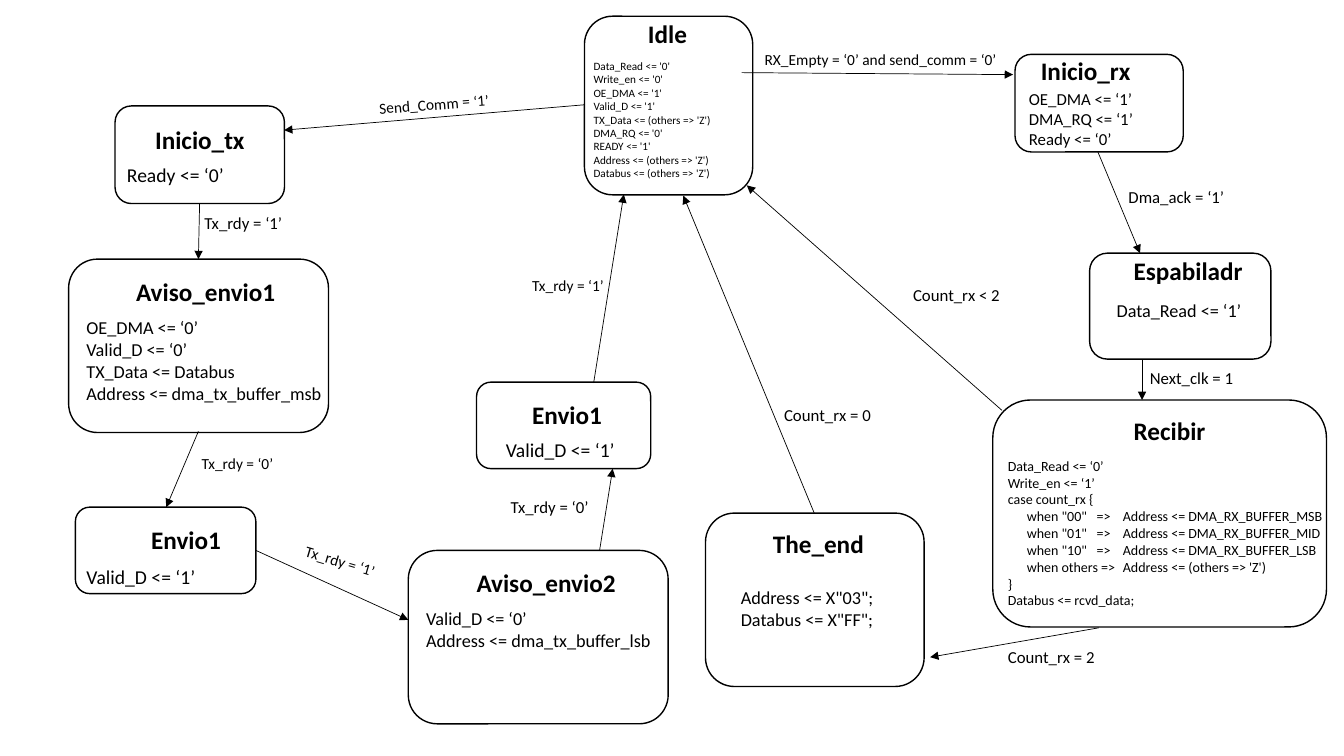
from collections import namedtuple

from lxml import etree
from pptx import Presentation
from pptx.dml.color import RGBColor
from pptx.enum.shapes import MSO_CONNECTOR as CONN, MSO_SHAPE as SHAPE
from pptx.enum.text import MSO_AUTO_SIZE as AUTO
from pptx.oxml.ns import qn
from pptx.util import Cm, Pt

BLACK = RGBColor(0x00, 0x00, 0x00)
FONT = "Calibri"
TAB_STOPS = (0.48, 2.24, 2.9)

# box: left, top, width, height; title and body: left, top, width from the box corner (cm)
State = namedtuple("State", "name box title body size lines")
# start and end: x, y; label: left, top, width (cm)
Transition = namedtuple("Transition", "start end text label size angle", defaults=(12, 0))

STATES = [
    State("Idle", (14.73, 0.41, 4.24, 4.5), (1.35, -0.08, 1.5), (-0.02, 0.96, 4.24), 8,
          ["Data_Read <= '0'", "Write_en <= '0'", "OE_DMA <= '1'", "Valid_D <= '1'",
           "TX_Data <= (others => 'Z')", "DMA_RQ <= '0'", "READY <= '1'",
           "Address <= (others => 'Z')", "Databus <= (others => 'Z')"]),
    State("Inicio_tx", (2.9, 2.67, 4.27, 2.46), (0.76, 0.35, 2.79), (0.05, 1.32, 6.81), 14,
          ["Ready <= ‘0’"]),
    State("Aviso_envio1", (1.73, 6.53, 6.55, 4.37), (1.45, 0.3, 4.04), (0.2, 1.32, 6.55), 13,
          ["OE_DMA <= ‘0’", "Valid_D <= ‘0’", "TX_Data <= Databus",
           "Address <= dma_tx_buffer_msb"]),
    State("Envio1", (1.9, 12.78, 4.55, 2.18), (1.66, 0.3, 2.29), (0.03, 1.32, 7.06), 14,
          ["Valid_D <= ‘1’"]),
    State("Aviso_envio2", (10.29, 13.87, 6.55, 4.37), (1.47, 0.3, 4.04), (0.2, 1.32, 6.55), 13,
          ["Valid_D <= ‘0’", "Address <= dma_tx_buffer_lsb"]),
    State("Envio1", (12.01, 9.63, 4.39, 2.18), (1.15, 0.3, 2.29), (0.49, 1.27, 3.43), 14,
          ["Valid_D <= ‘1’"]),
    State("Inicio_rx", (25.58, 1.37, 4.24, 2.46), (0.4, -0.1, 2.79), (0.1, 0.74, 3.91), 12,
          ["OE_DMA <= ‘1’", "DMA_RQ <= ‘1’", "Ready <= ‘0’"]),
    State("Espabiladr", (27.46, 6.38, 4.57, 2.67), (0.86, -0.06, 3.28), (0.43, 1.04, 3.71), 13,
          ["Data_Read <= ‘1’"]),
    State("Recibir", (25.02, 10.08, 8.41, 5.72), (3.3, 0.26, 2.34), (0.13, 1.32, 8.97), 10,
          ["Data_Read <= ‘0’", "Write_en <= ‘1’", "case count_rx {",
           '\twhen "00"\t=>\tAddress <= DMA_RX_BUFFER_MSB',
           '\twhen "01"\t=>\tAddress <= DMA_RX_BUFFER_MID',
           '\twhen "10"\t=>\tAddress <= DMA_RX_BUFFER_LSB',
           "\twhen others =>\tAddress <= (others => 'Z')",
           "}", "Databus <= rcvd_data;"]),
    State("The_end", (17.78, 12.93, 5.51, 4.37), (1.45, 0.25, 2.82), (0.64, 1.73, 6.55), 13,
          ['Address <= X"03";', 'Databus <= X"FF";']),
]

TRANSITIONS = [
    Transition((18.69, 1.83), (25.53, 1.88), "RX_Empty = ‘0’ and send_comm = ‘0’",
               (19.02, 1.14, 6.4), 11),
    Transition((14.73, 2.64), (7.16, 3.28), "Send_Comm = ‘1’", (9.3, 2.26, 3.28), 11, -4.3),
    Transition((5.03, 5.13), (5.0, 6.53), "Tx_rdy = ‘1’", (4.9, 5.23, 2.49)),
    Transition((5.0, 10.87), (4.19, 12.78), "Tx_rdy = ‘0’", (4.83, 11.33, 2.36), 11),
    Transition((6.45, 13.87), (10.29, 15.62), "Tx_rdy = ‘1’", (7.42, 13.79, 2.36), 11, 16.5),
    Transition((15.11, 13.87), (15.44, 11.81), "Tx_rdy = ‘0’", (12.62, 12.4, 2.49)),
    Transition((14.96, 9.65), (15.72, 4.9), "Tx_rdy = ‘1’", (13.16, 6.83, 2.36), 11),
    Transition((27.66, 3.81), (28.73, 6.38), "Dma_ack = ‘1’", (28.19, 4.57, 2.95)),
    Transition((28.78, 9.07), (28.78, 10.08), "Next_clk = 1", (28.73, 9.14, 2.64)),
    Transition((27.69, 15.82), (23.44, 16.56), "Count_rx = 2", (25.15, 16.18, 2.72)),
    Transition((25.25, 10.34), (18.82, 4.67), "Count_rx < 2", (22.76, 7.06, 2.72)),
    Transition((20.52, 12.93), (17.22, 4.93), "Count_rx = 0", (19.51, 10.08, 2.72)),
]


def add_text(s, text, left, top, width, size=12, bold=False, wrap=False, angle=0):
    """Add a text box with one paragraph per line of text."""
    lines = text.split("\n")
    height = len(lines) * size * 0.043 + 0.25
    sp = s.shapes.add_textbox(Cm(left), Cm(top), Cm(width), Cm(height))
    sp.rotation = angle
    tf = sp.text_frame
    tf.word_wrap = wrap
    tf.auto_size = AUTO.SHAPE_TO_FIT_TEXT
    for i, line in enumerate(lines):
        p = tf.add_paragraph() if i else tf.paragraphs[0]
        r = p.add_run()
        r.text = line
        r.font.name, r.font.size, r.font.bold = FONT, Pt(size), bold
        r.font.color.rgb = BLACK
        if "\t" in line:
            set_tabs(p)


def set_tabs(p):
    """Give a paragraph the tab stops of the case table."""
    tabs = etree.SubElement(p._p.get_or_add_pPr(), qn("a:tabLst"))
    for stop in TAB_STOPS:
        etree.SubElement(tabs, qn("a:tab"), pos=str(Cm(stop)), algn="l")


def add_state(s, state):
    """Draw a state: rounded outline, name and assignments placed from its corner."""
    x, y, w, h = state.box
    sp = s.shapes.add_shape(SHAPE.ROUNDED_RECTANGLE, Cm(x), Cm(y), Cm(w), Cm(h))
    sp.shadow.inherit = False
    sp.fill.background()
    sp.line.color.rgb = BLACK
    sp.line.width = Pt(1)
    dx, dy, width = state.title
    add_text(s, state.name, x + dx, y + dy, width, size=18, bold=True)
    dx, dy, width = state.body
    add_text(s, "\n".join(state.lines), x + dx, y + dy, width, size=state.size, wrap=True)


def add_transition(s, step):
    """Draw an arrow between two states with its condition."""
    line = s.shapes.add_connector(CONN.STRAIGHT, *map(Cm, step.start + step.end))
    line.line.color.rgb = BLACK
    line.line.width = Pt(0.5)
    etree.SubElement(line.line._get_or_add_ln(), qn("a:tailEnd"), type="triangle")
    etree.SubElement(line._element.spPr, qn("a:effectLst"))
    add_text(s, step.text, *step.label, size=step.size, angle=step.angle)


def build_diagram(prs):
    """Add the slide with the state machine."""
    s = prs.slides.add_slide(prs.slide_layouts[6])
    for state in STATES:
        add_state(s, state)
    for step in TRANSITIONS:
        add_transition(s, step)


prs = Presentation()
prs.slide_width, prs.slide_height = Cm(33.87), Cm(19.05)
build_diagram(prs)
prs.save("out.pptx")
